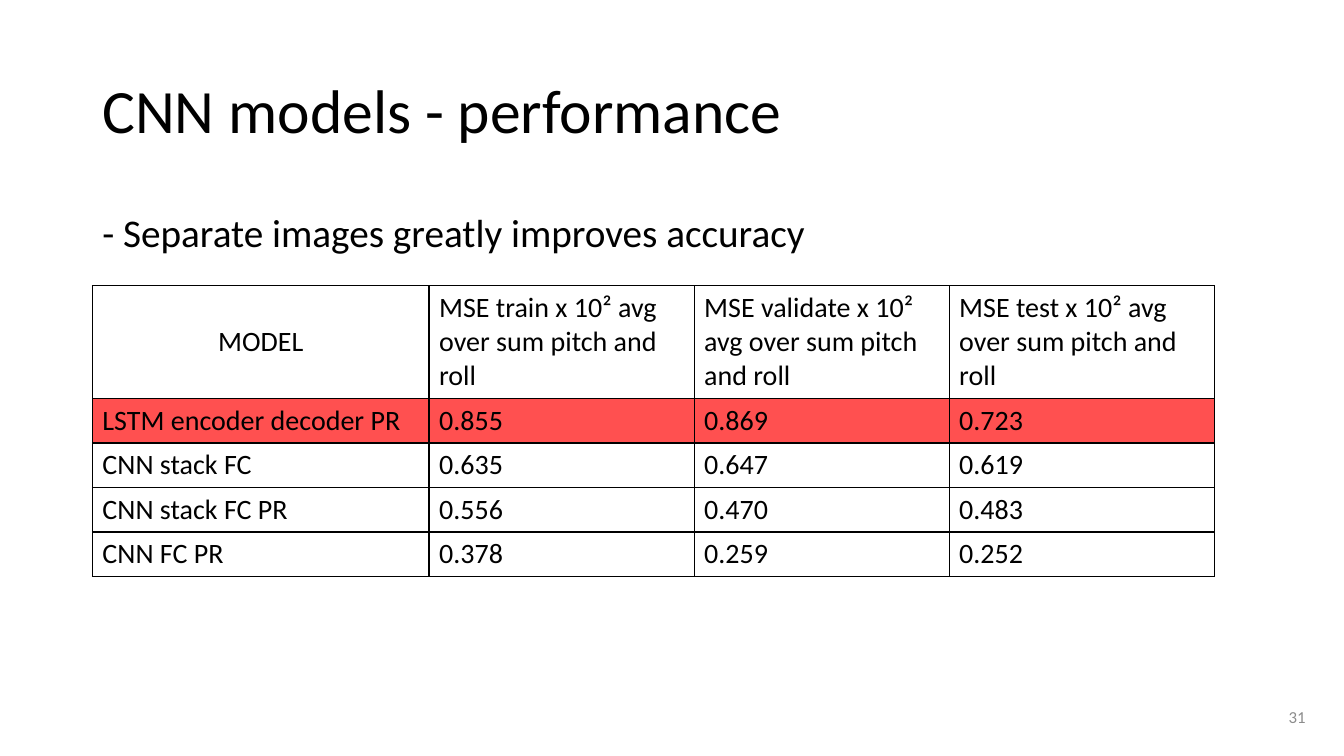
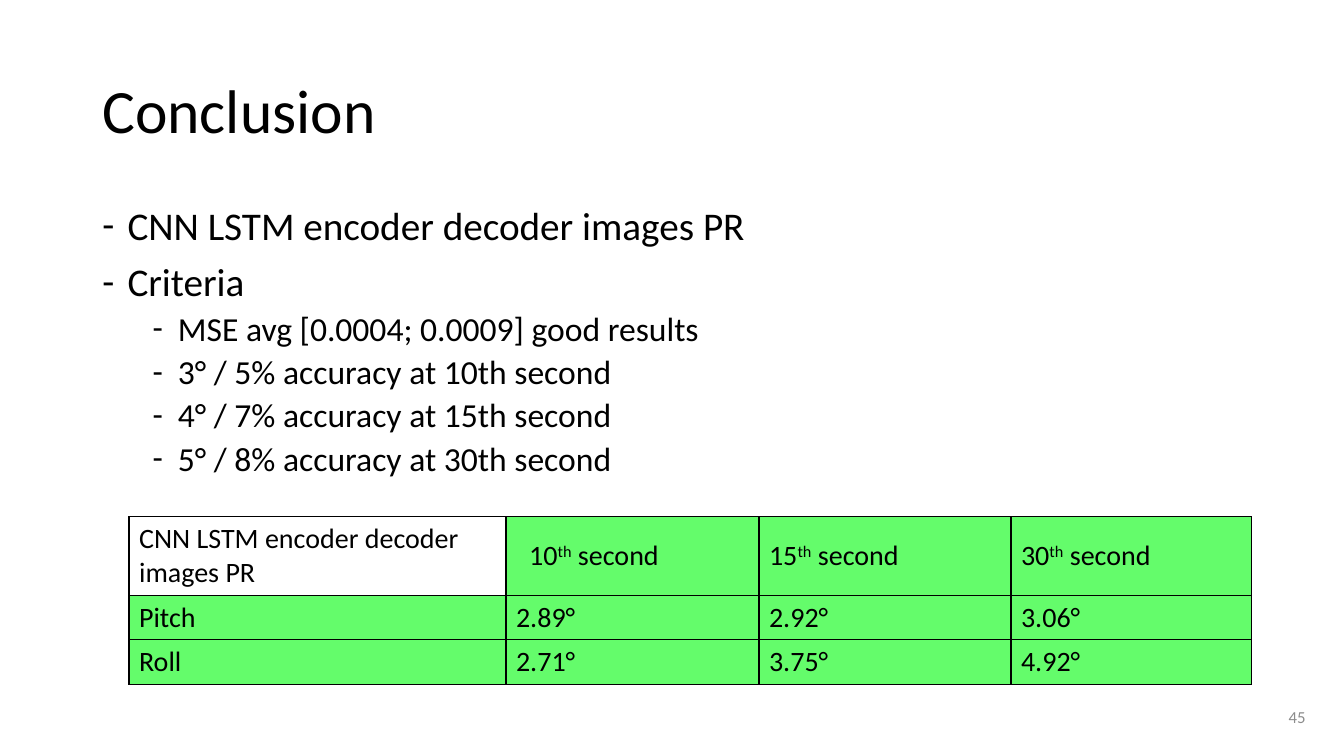
from lxml.etree import SubElement
from pptx import Presentation
from pptx.dml.color import RGBColor
from pptx.enum.text import MSO_ANCHOR, PP_ALIGN
from pptx.oxml.ns import qn
from pptx.util import Inches, Pt

FONT = "Calibri"
COLORS = {
    "text": "000000",
    "number": "8C8C8C",
    "paper": "FFFFFF",
    "bad": "FF5050",
    "good": "64FC6B",
}
# Bullet levels: text size, space before, left indent in inches
LEVELS = [(28, 10, 0.25), (24, 5, 0.75)]


def rgb(name):
    return RGBColor.from_string(COLORS[name])


def grid(units):
    """Length of grid units: the slide is 80 columns by 45 rows."""
    return Inches(units / 6)


def write(paragraph, text, size=20, color="text", align=None, spacing=None,
          before=0, bullet=None, indent=0):
    """Fill a paragraph; parts between ^ signs are raised."""
    paragraph.alignment = align
    if spacing:
        paragraph.line_spacing = spacing
    paragraph.space_before = Pt(before)
    if bullet:
        properties = paragraph._p.get_or_add_pPr()
        properties.set("marL", str(Inches(indent)))
        properties.set("indent", str(Inches(-0.25)))
        SubElement(properties, qn("a:buFont"), typeface=FONT)
        SubElement(properties, qn("a:buChar"), char=bullet)
    for index, part in enumerate(text.split("^")):
        run = paragraph.add_run()
        run.text = part
        run.font.name = FONT
        run.font.size = Pt(size)
        run.font.color.rgb = rgb(color)
        if index % 2:
            run._r.get_or_add_rPr().set("baseline", "30000")


class Deck:
    def __init__(self):
        self.presentation = Presentation()
        self.presentation.slide_width = grid(80)
        self.presentation.slide_height = grid(45)
        self.slide = None

    def add_slide(self, title, number):
        """Start a slide with the shared title and page number."""
        layout = self.presentation.slide_layouts[6]
        self.slide = self.presentation.slides.add_slide(layout)
        frame = self.text_frame(5.5, 2.4, 72.66, 8.7, MSO_ANCHOR.MIDDLE)
        write(frame.paragraphs[0], title, size=44, spacing=0.9)
        frame = self.text_frame(64.8, 41.46, 13.5, 2.4, MSO_ANCHOR.MIDDLE)
        write(frame.paragraphs[0], str(number), size=12, color="number",
              align=PP_ALIGN.RIGHT)

    def text_frame(self, column, row, columns, rows, anchor=MSO_ANCHOR.TOP):
        box = self.slide.shapes.add_textbox(
            grid(column), grid(row), grid(columns), grid(rows))
        frame = box.text_frame
        frame.word_wrap = True
        frame.vertical_anchor = anchor
        return frame

    def body(self, row, rows, items, bullet=None):
        """Write (level, text) items one below the other."""
        frame = self.text_frame(5.5, row, 72.66, rows)
        for index, (level, text) in enumerate(items):
            paragraph = frame.add_paragraph() if index else frame.paragraphs[0]
            size, before, indent = LEVELS[level]
            write(paragraph, text, size=size, spacing=0.9,
                  before=before if index else 0, bullet=bullet, indent=indent)

    def table(self, column, row, widths, header_height, records, fill_rule):
        """Draw a ruled table; fill_rule gives a colour for row and column."""
        heights = [header_height] + [2.65] * (len(records) - 1)
        table = self.slide.shapes.add_table(
            len(records), len(widths), grid(column), grid(row),
            grid(sum(widths)), grid(sum(heights))).table
        table.first_row = table.horz_banding = False
        for table_column, width in zip(table.columns, widths):
            table_column.width = grid(width)
        for table_row, height in zip(table.rows, heights):
            table_row.height = grid(height)
        for row_index, record in enumerate(records):
            for column_index, text in enumerate(record):
                cell = table.cell(row_index, column_index)
                self.borders(cell)
                cell.fill.solid()
                cell.fill.fore_color.rgb = rgb(fill_rule(row_index, column_index))
                cell.vertical_anchor = MSO_ANCHOR.MIDDLE
                write(cell.text_frame.paragraphs[0], text)
        return table

    def borders(self, cell):
        properties = cell._tc.get_or_add_tcPr()
        for side in ("lnL", "lnR", "lnT", "lnB"):
            line = SubElement(properties, qn(f"a:{side}"), w=str(Pt(1)))
            fill = SubElement(line, qn("a:solidFill"))
            SubElement(fill, qn("a:srgbClr"), val=COLORS["text"])


def main():
    deck = Deck()

    # Model performance
    deck.add_slide("CNN models - performance", 31)
    deck.body(12.42, 4.56, [(0, "- Separate images greatly improves accuracy")])
    performance = deck.table(
        5.5, 17, [20.04, 15.78, 15.18, 15.78], 6.72,
        [
            ["MODEL",
             "MSE train x 10² avg over sum pitch and roll",
             "MSE validate x 10² avg over sum pitch and roll",
             "MSE test x 10² avg over sum pitch and roll"],
            ["LSTM encoder decoder PR", "0.855", "0.869", "0.723"],
            ["CNN stack FC", "0.635", "0.647", "0.619"],
            ["CNN stack FC PR", "0.556", "0.470", "0.483"],
            ["CNN FC PR", "0.378", "0.259", "0.252"],
        ],
        lambda row, column: "bad" if row == 1 else "paper")
    model_heading = performance.cell(0, 0).text_frame.paragraphs[0]
    model_heading.alignment = PP_ALIGN.CENTER

    # Conclusion
    deck.add_slide("Conclusion", 45)
    deck.body(12, 28.56, [
        (0, "CNN LSTM encoder decoder images PR"),
        (0, "Criteria"),
        (1, "MSE avg [0.0004; 0.0009] good results"),
        (1, "3° / 5% accuracy at 10th second"),
        (1, "4° / 7% accuracy at 15th second"),
        (1, "5° / 8% accuracy at 30th second"),
    ], bullet="-")
    errors = deck.table(
        7.68, 30.75, [22.44, 15.06, 15, 14.34], 4.68,
        [
            ["CNN LSTM encoder decoder images PR",
             "10^th^ second", "15^th^ second", "30^th^ second"],
            ["Pitch", "2.89°", "2.92°", "3.06°"],
            ["Roll", "2.71°", "3.75°", "4.92°"],
        ],
        lambda row, column: "good" if row or column else "paper")
    errors.cell(0, 1).margin_left = Inches(0.23)

    deck.presentation.save("out.pptx")


if __name__ == "__main__":
    main()
